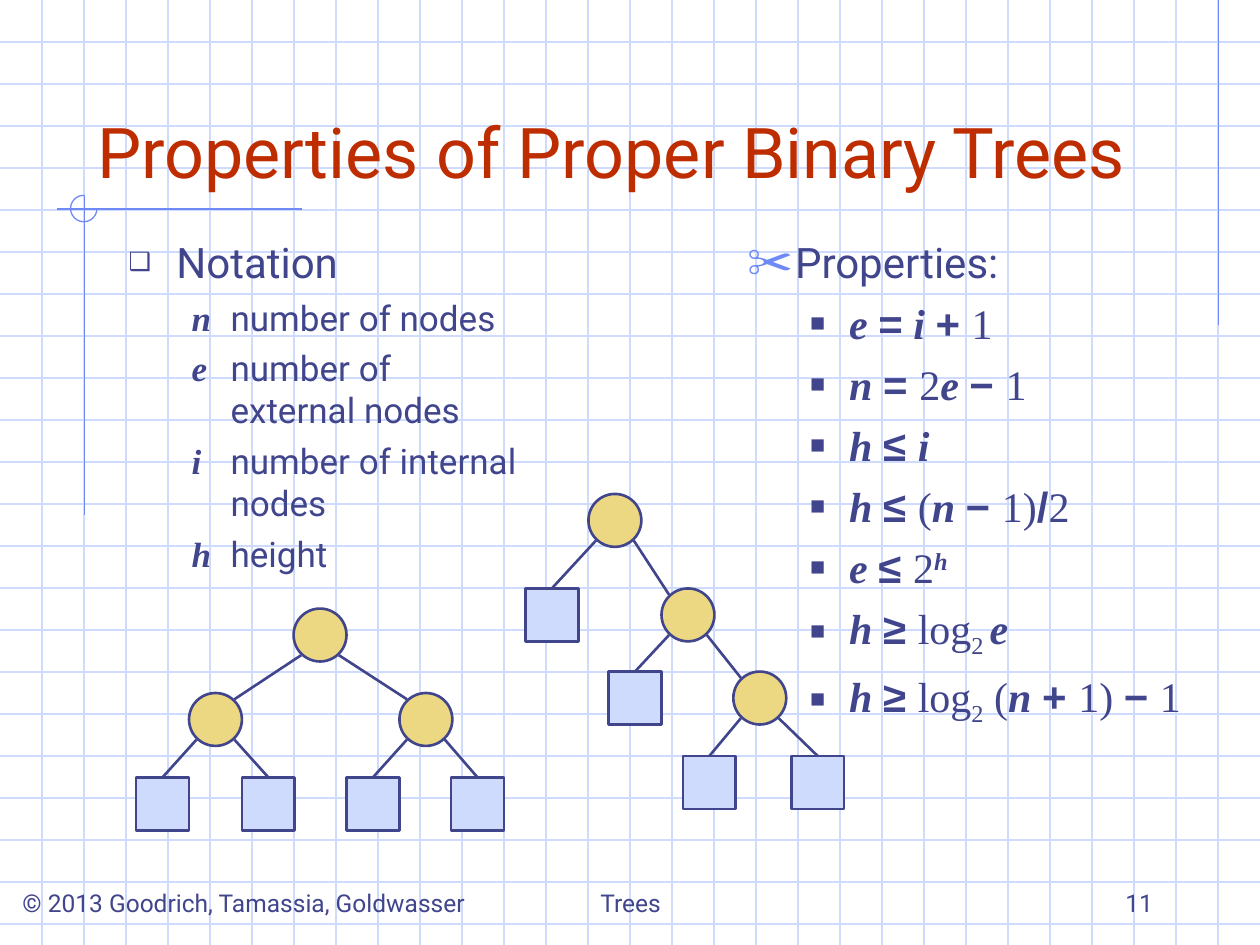
import pptx
import pptx.dml.color
import pptx.enum.shapes
import pptx.enum.text
import pptx.oxml
import pptx.oxml.ns
import pptx.util

Inches = pptx.util.Inches
Pt = pptx.util.Pt
SHAPE = pptx.enum.shapes.MSO_SHAPE
ALIGN = pptx.enum.text.PP_ALIGN
ANCHOR = pptx.enum.text.MSO_ANCHOR

COLORS = {"grid": "CFDBFD", "accent": "6F89F7", "ink": "40458C",
          "title": "BE2D00", "inner": "ECD882", "leaf": "CFDBFD"}
STYLES = {"var": ("Times New Roman", True, True, 0),
          "op": ("Arial", True, False, 0),
          "num": ("Times New Roman", False, False, 0),
          "sub": ("Times New Roman", False, False, -25000),
          "sup": ("Times New Roman", True, True, 30000),
          "word": ("Roboto", False, False, 0)}

NOTATION = [("n", "number of nodes"), ("e", "number of external nodes"),
            ("i", "number of internal nodes"), ("h", "height")]
FORMULAS = [
    [("var", "e "), ("op", "="), ("var", " i "), ("op", "+ "), ("num", "1")],
    [("var", "n "), ("op", "= "), ("num", "2"), ("var", "e "), ("op", "− "), ("num", "1")],
    [("var", "h "), ("op", "≤ "), ("var", "i")],
    [("var", "h "), ("op", "≤ "), ("num", "("), ("var", "n "), ("op", "− "),
     ("num", "1)"), ("op", "/"), ("num", "2")],
    [("var", "e "), ("op", "≤ "), ("num", "2"), ("sup", "h")],
    [("var", "h "), ("op", "≥ "), ("num", "log"), ("sub", "2 "), ("var", "e")],
    [("var", "h "), ("op", "≥ "), ("num", "log"), ("sub", "2"), ("num", " ("),
     ("var", "n "), ("op", "+ "), ("num", "1) "), ("op", "− "), ("num", "1")],
]

NODE = 0.42
BALANCED_TREE = (1.25, 0, [
    (0.42, 0.67, [(0, 1.34, []), (0.84, 1.34, [])]),
    (2.09, 0.67, [(1.67, 1.34, []), (2.5, 1.34, [])])])
RIGHT_TREE = (0.5, 0, [
    (0, 0.75, []),
    (1.08, 0.75, [
        (0.66, 1.41, []),
        (1.65, 1.41, [(1.25, 2.08, []), (2.11, 2.08, [])])])])


def rgb(name):
    return pptx.dml.color.RGBColor.from_string(COLORS[name])


def add_xml(parent, tag, **attrs):
    child = pptx.oxml.parse_xml(f"<a:{tag} {pptx.oxml.ns.nsdecls('a')}/>")
    for key, value in attrs.items():
        child.set(key, value)
    parent.append(child)
    return child


def add_line(s, x1, y1, x2, y2, color, width=0.75):
    c = s.shapes.add_connector(pptx.enum.shapes.MSO_CONNECTOR.STRAIGHT,
                               Inches(x1), Inches(y1), Inches(x2), Inches(y2))
    c.line.color.rgb = rgb(color)
    c.line.width = Pt(width)
    add_xml(c.element.spPr, "effectLst")


def add_outlined(s, kind, x, y, size, line, width, fill=None):
    sp = s.shapes.add_shape(kind, Inches(x), Inches(y), Inches(size), Inches(size))
    sp.shadow.inherit = False
    if fill:
        sp.fill.solid()
        sp.fill.fore_color.rgb = rgb(fill)
    else:
        sp.fill.background()
    sp.line.color.rgb = rgb(line)
    sp.line.width = Pt(width)
    return sp


def set_font(p, size, color="ink"):
    p.font.size = Pt(size)
    p.font.name = "Roboto"
    p.font.color.rgb = rgb(color)


def add_runs(p, parts):
    for style, text in parts:
        r = p.add_run()
        r.text = text
        r.font.name, r.font.bold, r.font.italic, baseline = STYLES[style]
        if baseline:
            r._r.get_or_add_rPr().set("baseline", str(baseline))


def format_item(p, level, size, before, bullet=None, color="ink", percent=60):
    p.level = level
    p.space_before = Pt(before)
    p.line_spacing = 1.0
    pPr = p._p.get_or_add_pPr()
    margin, indent = ((0.38, -0.38), (0.81, -0.31))[level]
    pPr.set("marL", str(Inches(margin)))
    pPr.set("indent", str(Inches(indent)))
    if bullet:
        add_xml(add_xml(pPr, "buClr"), "srgbClr", val=COLORS[color])
        add_xml(pPr, "buSzPct", val=str(percent * 1000))
        add_xml(pPr, "buChar", char=bullet)
    else:
        add_xml(pPr, "buNone")
        add_xml(add_xml(pPr, "tabLst"), "tab", pos="0", algn="l")
    set_font(p, size)


def place(sp, x, y, w, h, anchor):
    sp.left, sp.top, sp.width, sp.height = map(Inches, (x, y, w, h))
    sp.element.getparent().append(sp.element)
    tf = sp.text_frame
    tf.word_wrap = True
    tf.auto_size = pptx.enum.text.MSO_AUTO_SIZE.NONE
    tf.vertical_anchor = anchor
    return tf


def draw_background(s, w, h):
    step = 1 / 3
    for i in range(1, int(h / step) + 1):
        add_line(s, 0, i * step, w, i * step, "grid")
    for i in range(1, round(w / step)):
        add_line(s, i * step, 0, i * step, h, "grid")
    add_line(s, 9.67, 0, 9.67, 2.58, "accent")
    add_line(s, 2.4, 1.66, 0.45, 1.66, "accent")
    add_line(s, 0.67, 1.55, 0.67, 4.09, "accent")
    arc = add_outlined(s, SHAPE.ARC, 0.56, 1.55, 0.21, "accent", 0.75)
    arc.adjustments[0] = 0
    arc.adjustments[1] = 162


def draw_title(s, x, y, w, h):
    tf = place(s.shapes.title, x, y, w, h, ANCHOR.BOTTOM)
    p = tf.paragraphs[0]
    p.text = "Properties of Proper Binary Trees"
    p.alignment = ALIGN.LEFT
    set_font(p, 40, "title")


def draw_notation(s, x, y, w, h):
    tf = place(s.placeholders[1], x, y, w, h, ANCHOR.TOP)
    tf.text = "Notation"
    format_item(tf.paragraphs[0], 0, 24, 6, "❑")
    for symbol, meaning in NOTATION:
        p = tf.add_paragraph()
        format_item(p, 1, 20, 5)
        add_runs(p, [("var", symbol + "\t"), ("word", meaning)])


def draw_properties(s, x, y, w, h):
    tf = place(s.placeholders[2], x, y, w, h, ANCHOR.TOP)
    tf.text = "Properties:"
    format_item(tf.paragraphs[0], 0, 24, 6, "✂", "accent", 110)
    for formula in FORMULAS:
        p = tf.add_paragraph()
        format_item(p, 1, 24, 6, "■")
        add_runs(p, formula)


def draw_tree(s, x, y, node):
    left, top, children = node
    left, top = x + left, y + top
    kind, fill = (SHAPE.OVAL, "inner") if children else (SHAPE.RECTANGLE, "leaf")
    add_outlined(s, kind, left, top, NODE, "ink", 1.5, fill)
    mid = NODE / 2
    for side, child in zip((-1, 1), children):
        child_x, child_y = x + child[0] + mid, y + child[1]
        if child[2]:
            child_x -= side * 0.15
            child_y += 0.05
        add_line(s, left + mid + side * 0.15, top + mid + 0.16,
                 child_x, child_y, "ink", 1.5)
        draw_tree(s, x, y, child)


def draw_footer(s, y, h):
    for text, x, w, align in [
            ("© 2013 Goodrich, Tamassia, Goldwasser", 0.08, 3.92, ALIGN.LEFT),
            ("Trees", 3.42, 3.17, ALIGN.CENTER),
            ("11", 7.17, 2.08, ALIGN.RIGHT)]:
        sp = s.shapes.add_textbox(0, 0, 0, 0)
        p = place(sp, x, y, w, h, ANCHOR.BOTTOM).paragraphs[0]
        p.text = text
        p.alignment = align
        set_font(p, 14)


def main():
    prs = pptx.Presentation()
    prs.slide_width, prs.slide_height = Inches(10), Inches(7.5)
    s = prs.slides.add_slide(prs.slide_layouts[3])
    draw_background(s, 10, 7.5)
    draw_title(s, 0.67, 0.33, 8.5, 1.25)
    draw_notation(s, 0.92, 1.83, 3.33, 2.83)
    draw_properties(s, 5.83, 1.83, 3.75, 4)
    draw_tree(s, 1.08, 4.83, BALANCED_TREE)
    draw_tree(s, 4.17, 3.92, RIGHT_TREE)
    draw_footer(s, 6.83, 0.5)
    prs.save("out.pptx")


if __name__ == "__main__":
    main()
